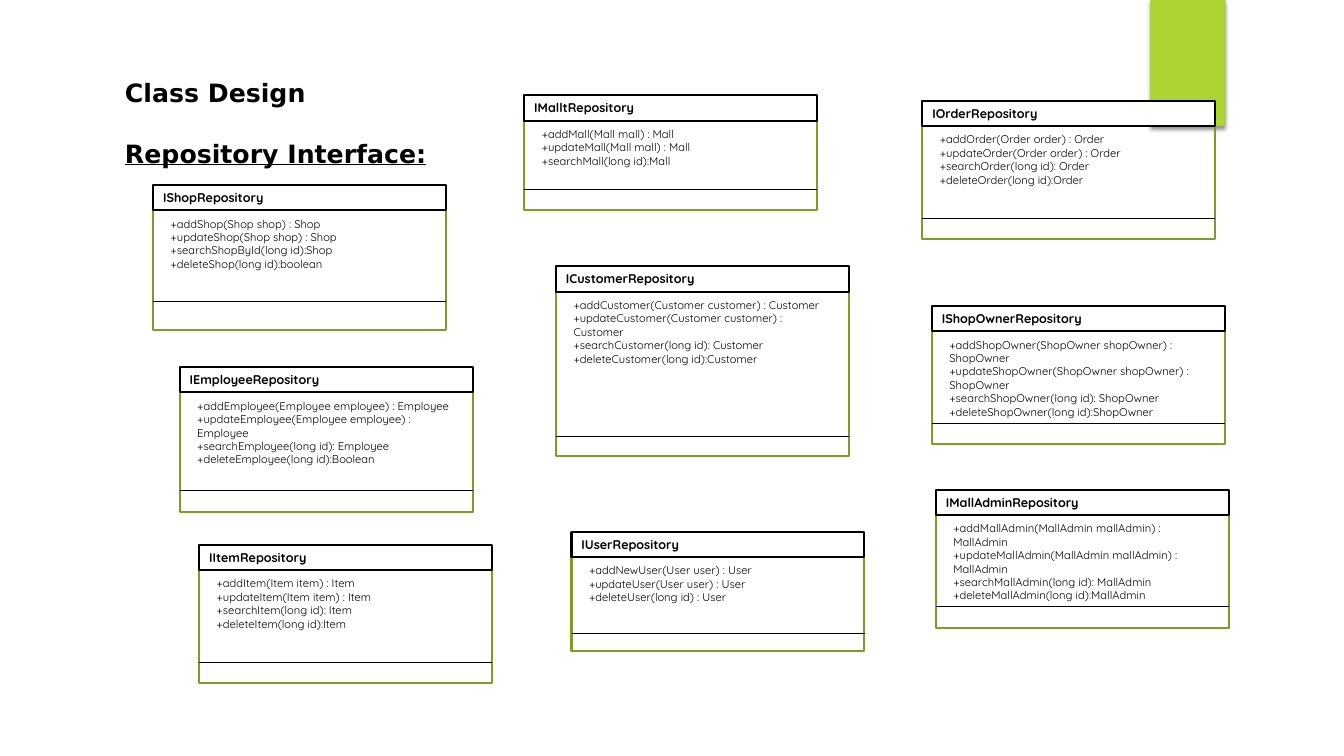
import lxml.etree
import pptx
import pptx.dml.color
import pptx.enum.shapes
import pptx.enum.text
import pptx.oxml
import pptx.oxml.ns
import pptx.util

Cm = pptx.util.Cm
Pt = pptx.util.Pt
RGB = pptx.dml.color.RGBColor.from_string
RECTANGLE = pptx.enum.shapes.MSO_SHAPE.RECTANGLE
STRAIGHT = pptx.enum.shapes.MSO_CONNECTOR.STRAIGHT
ANCHOR = pptx.enum.text.MSO_ANCHOR


class Theme:
    ink = RGB("000000")
    paper = RGB("FFFFFF")
    accent = RGB("ACD433")
    outline = RGB("7F9D26")
    heading_font = "DejaVu Sans"
    class_font = "Quicksand"
    heading_size = Pt(18)
    name_size = Pt(9)
    method_size = Pt(8)
    box_line = Pt(1.5)
    divider_line = Pt(0.75)


def add_rectangle(left, top, width, height, fill=None, line=None):
    rectangle = slide.shapes.add_shape(RECTANGLE, Cm(left), Cm(top), Cm(width), Cm(height))
    rectangle.shadow.inherit = False
    if fill is None:
        rectangle.fill.background()
    else:
        rectangle.fill.solid()
        rectangle.fill.fore_color.rgb = fill
    if line is None:
        rectangle.line.fill.background()
    else:
        rectangle.line.color.rgb = line
        rectangle.line.width = Theme.box_line
    return rectangle


def write_lines(shape, lines, font, size, bold=False, underline=None, wrap=True, anchor=ANCHOR.TOP):
    frame = shape.text_frame
    frame.word_wrap = wrap
    frame.auto_size = pptx.enum.text.MSO_AUTO_SIZE.SHAPE_TO_FIT_TEXT
    frame.vertical_anchor = anchor
    for index, line in enumerate(lines):
        paragraph = frame.add_paragraph() if index else frame.paragraphs[0]
        paragraph.alignment = pptx.enum.text.PP_ALIGN.LEFT
        run = paragraph.add_run()
        run.text = line
        run.font.name = font
        run.font.size = size
        run.font.bold = bold
        run.font.underline = underline
        run.font.color.rgb = Theme.ink


presentation = pptx.Presentation()
presentation.slide_width = Cm(33.86)
presentation.slide_height = Cm(19.05)
slide = presentation.slides.add_slide(presentation.slide_layouts[6])

# Green tab with a soft shadow
green_tab = add_rectangle(28.98, 0, 1.9, 3.18, fill=Theme.accent)
tab_effects = green_tab._element.spPr.find(pptx.oxml.ns.qn("a:effectLst"))
tab_effects.append(pptx.oxml.parse_xml(
    f'<a:outerShdw {pptx.oxml.ns.nsdecls("a")} blurRad="38100" dist="25400" dir="5400000"'
    ' rotWithShape="0"><a:srgbClr val="000000"><a:alpha val="45000"/></a:srgbClr></a:outerShdw>'))

# Headings
page_title = slide.shapes.add_textbox(Cm(2.9), Cm(1.83), Cm(5.05), Cm(1.03))
write_lines(page_title, ["Class Design"], Theme.heading_font, Theme.heading_size,
            bold=True, wrap=False)
section_title = slide.shapes.add_textbox(Cm(2.9), Cm(3.35), Cm(19.38), Cm(1.03))
write_lines(section_title, ["Repository Interface:"], Theme.heading_font, Theme.heading_size,
            bold=True, underline=True, anchor=ANCHOR.MIDDLE)

# Interfaces: name, left, top, body height, divider height on the slide, methods (cm)
interfaces = [
    ("IShopRepository", 3.86, 4.66, 3.63, 7.59, [
        "+addShop(Shop shop) : Shop",
        "+updateShop(Shop shop) : Shop",
        "+searchShopById(long id):Shop",
        "+deleteShop(long id):boolean"]),
    ("IMalltRepository", 13.21, 2.4, 2.87, 4.78, [
        "+addMall(Mall mall) : Mall",
        "+updateMall(Mall mall) : Mall",
        "+searchMall(long id):Mall"]),
    ("IEmployeeRepository", 4.53, 9.25, 3.63, 12.37, [
        "+addEmployee(Employee employee) : Employee",
        "+updateEmployee(Employee employee) : Employee",
        "+searchEmployee(long id): Employee",
        "+deleteEmployee(long id):Boolean"]),
    ("IUserRepository", 14.4, 13.4, 2.97, 15.97, [
        "+addNewUser(User user) : User",
        "+updateUser(User user) : User",
        "+deleteUser(long id) : User"]),
    ("ICustomerRepository", 14.01, 6.71, 4.75, 11, [
        "+addCustomer(Customer customer) : Customer",
        "+updateCustomer(Customer customer) : Customer",
        "+searchCustomer(long id): Customer",
        "+deleteCustomer(long id):Customer"]),
    ("IOrderRepository", 23.24, 2.54, 3.45, 5.51, [
        "+addOrder(Order order) : Order",
        "+updateOrder(Order order) : Order",
        "+searchOrder(long id): Order",
        "+deleteOrder(long id):Order"]),
    ("IShopOwnerRepository", 23.48, 7.71, 3.45, 10.67, [
        "+addShopOwner(ShopOwner shopOwner) : ShopOwner",
        "+updateShopOwner(ShopOwner shopOwner) : ShopOwner",
        "+searchShopOwner(long id): ShopOwner",
        "+deleteShopOwner(long id):ShopOwner"]),
    ("IMallAdminRepository", 23.58, 12.34, 3.45, 15.29, [
        "+addMallAdmin(MallAdmin mallAdmin) : MallAdmin",
        "+updateMallAdmin(MallAdmin mallAdmin) : MallAdmin",
        "+searchMallAdmin(long id): MallAdmin",
        "+deleteMallAdmin(long id):MallAdmin"]),
    ("IItemRepository", 5.02, 13.73, 3.45, 16.69, [
        "+addItem(Item item) : Item",
        "+updateItem(Item item) : Item",
        "+searchItem(long id): Item",
        "+deleteItem(long id):Item"]),
]
class_width = 7.38
name_height = 0.64
method_height = 0.34
padding = 0.25

for name, left, top, body_height, divider_y, methods in interfaces:
    # Class outline and name bar
    add_rectangle(left, top + 0.03, class_width, body_height, line=Theme.outline)
    name_bar = add_rectangle(left, top, class_width, name_height,
                             fill=Theme.paper, line=Theme.ink)
    write_lines(name_bar, [name], Theme.class_font, Theme.name_size, bold=True)

    # Methods
    method_list = slide.shapes.add_textbox(Cm(left + 0.19), Cm(top + 0.68), Cm(6.93),
                                           Cm(len(methods) * method_height + padding))
    write_lines(method_list, methods, Theme.class_font, Theme.method_size)

    # Divider above the empty compartment
    divider = slide.shapes.add_connector(STRAIGHT, Cm(left), Cm(divider_y),
                                         Cm(left + class_width), Cm(divider_y))
    divider.line.color.rgb = Theme.ink
    divider.line.width = Theme.divider_line
    lxml.etree.SubElement(divider._element.spPr, pptx.oxml.ns.qn("a:effectLst"))

presentation.save("out.pptx")
